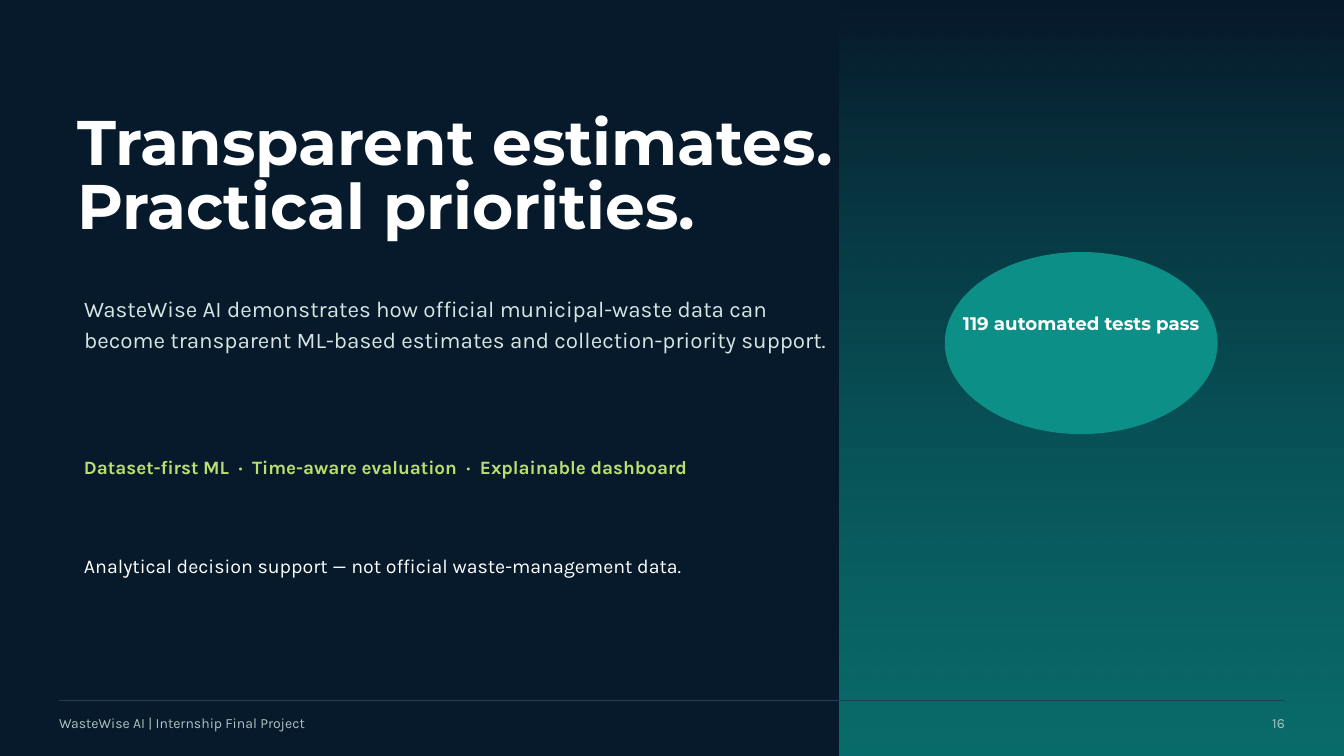
from dataclasses import dataclass

from lxml import etree
from pptx import Presentation
from pptx.dml.color import RGBColor
from pptx.enum.shapes import MSO_CONNECTOR, MSO_SHAPE
from pptx.enum.text import MSO_ANCHOR, MSO_AUTO_SIZE, PP_ALIGN
from pptx.oxml.ns import qn
from pptx.util import Inches, Pt

LEFT, CENTER, RIGHT = PP_ALIGN.LEFT, PP_ALIGN.CENTER, PP_ALIGN.RIGHT
RECT, OVAL = MSO_SHAPE.RECTANGLE, MSO_SHAPE.OVAL
TITLE_ONLY = 5


@dataclass(frozen=True)
class Style:
    size: float
    leading: float
    font: str
    color: str
    bold: bool = False


class Theme:
    navy, teal, rule = "071A2B", "0B8F87", "204052"
    title = Style(67.5, 68.8, "Montserrat", "FFFFFF", True)
    lead = Style(24, 33.6, "Karla", "D7E6E3")
    pillars = Style(20.2, 28.4, "Karla", "B9DF70", True)
    caveat = Style(21, 29.4, "Karla", "FFFFFF")
    badge = Style(19.5, 27.3, "Montserrat", "FFFFFF", True)
    footer = Style(15, 21, "Karla", "A9C4C2")


# Content
TITLE = ["Transparent estimates.", "Practical priorities."]
LEAD = ("WasteWise AI demonstrates how official municipal-waste data can become "
        "transparent ML-based estimates and collection-priority support.")
PILLARS = ["Dataset-first ML", "Time-aware evaluation", "Explainable dashboard"]
CAVEAT = "Analytical decision support — not official waste-management data."
BADGE = "119 automated tests pass"
FOOTER, PAGE = "WasteWise AI | Internship Final Project", "16"

# Layout, in inches
W, H = 20, 11.25
PANEL_X = W * 5 / 8
MARGIN = 0.88
BODY_X = W / 16
BADGE_BOX = (14.06, 3.75, 4.06, 2.71)
BADGE_PAD = 0.21
RULE_Y, FOOTER_Y, FOOTER_H = 10.43, 10.59, 0.29
PAGE_W = 0.79

TEXTS = [
    (LEAD, Theme.lead, LEFT, (BODY_X, 4.32, 11.25, 1.36)),
    ("  ·  ".join(PILLARS), Theme.pillars, LEFT, (BODY_X, 6.73, 11.46, 0.37)),
    (CAVEAT, Theme.caveat, LEFT, (BODY_X, 8.18, 11.46, 0.4)),
    (BADGE, Theme.badge, CENTER,
     (BADGE_BOX[0] + BADGE_PAD, 4.6, BADGE_BOX[2] - 2 * BADGE_PAD, 0.36)),
    (FOOTER, Theme.footer, LEFT, (MARGIN, FOOTER_Y, 6.46, FOOTER_H)),
    (PAGE, Theme.footer, RIGHT, (W - MARGIN - PAGE_W, FOOTER_Y, PAGE_W, FOOTER_H)),
]


def rgb(color):
    return RGBColor.from_string(color)


def inches(box):
    return [Inches(v) for v in box]


def write(shape, lines, style, align=LEFT):
    tf = shape.text_frame
    tf.word_wrap = True
    tf.auto_size = MSO_AUTO_SIZE.NONE
    tf.vertical_anchor = MSO_ANCHOR.TOP
    tf.margin_left = tf.margin_right = tf.margin_top = tf.margin_bottom = 0
    for i, line in enumerate(lines):
        p = tf.add_paragraph() if i else tf.paragraphs[0]
        p.alignment = align
        p.line_spacing = Pt(style.leading)
        p.space_before = Pt(0)
        r = p.add_run()
        r.text = line
        r.font.size, r.font.name, r.font.bold = Pt(style.size), style.font, style.bold
        r.font.color.rgb = rgb(style.color)


def add_plain_shape(slide, kind, box):
    sp = slide.shapes.add_shape(kind, *inches(box))
    sp.shadow.inherit = False
    sp.line.fill.background()
    return sp


def add_panel(slide):
    """Side panel fading from translucent teal at the foot to navy at the top."""
    sp = add_plain_shape(slide, RECT, (PANEL_X, 0, W - PANEL_X, H))
    sp.fill.gradient()
    sp.fill.gradient_angle = 90
    for stop, color in zip(sp.fill.gradient_stops, (Theme.teal, Theme.navy)):
        stop.color.rgb = rgb(color)
    teal = next(sp._element.spPr.iter(qn("a:srgbClr")))
    etree.SubElement(teal, qn("a:alpha")).set("val", "70000")


def add_rule(slide):
    line = slide.shapes.add_connector(
        MSO_CONNECTOR.STRAIGHT, *inches((MARGIN, RULE_Y, W - MARGIN, RULE_Y)))
    line.line.color.rgb = rgb(Theme.rule)
    line.line.width = Pt(1.1)
    etree.SubElement(line._element.spPr, qn("a:effectLst"))


def main():
    prs = Presentation()
    prs.slide_width, prs.slide_height = Inches(W), Inches(H)
    slide = prs.slides.add_slide(prs.slide_layouts[TITLE_ONLY])
    slide.background.fill.solid()
    slide.background.fill.fore_color.rgb = rgb(Theme.navy)

    # Panel, badge and footer rule
    add_panel(slide)
    badge = add_plain_shape(slide, OVAL, BADGE_BOX)
    badge.fill.solid()
    badge.fill.fore_color.rgb = rgb(Theme.teal)
    add_rule(slide)

    # Title, kept in front of the panel
    title = slide.shapes.title
    title.left, title.top, title.width, title.height = inches((1.15, 1.69, 13.02, 1.94))
    write(title, TITLE, Theme.title)
    slide.shapes._spTree.append(title._element)

    # Body, badge and footer text
    for text, style, align, box in TEXTS:
        write(slide.shapes.add_textbox(*inches(box)), [text], style, align)

    prs.save("out.pptx")


if __name__ == "__main__":
    main()
